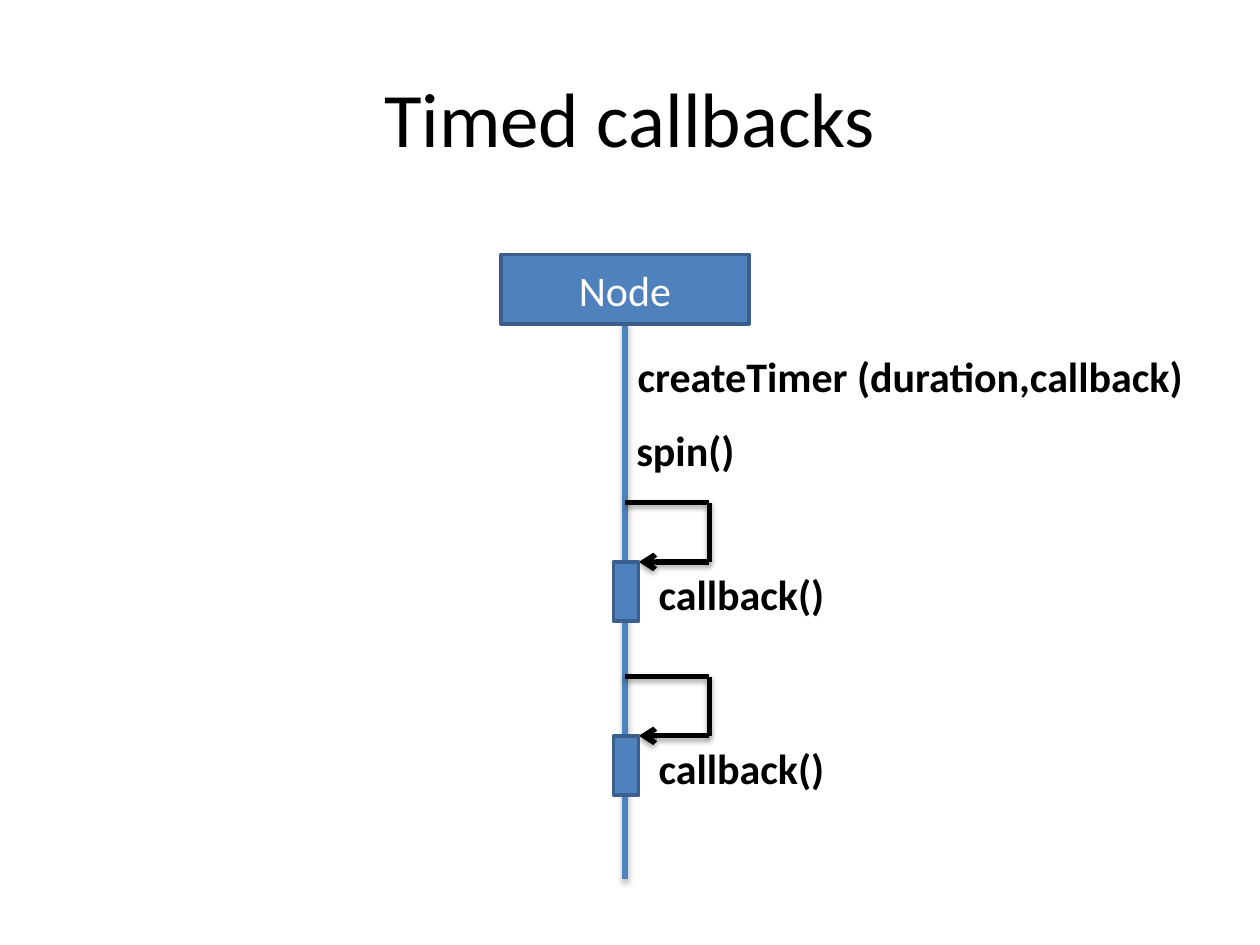
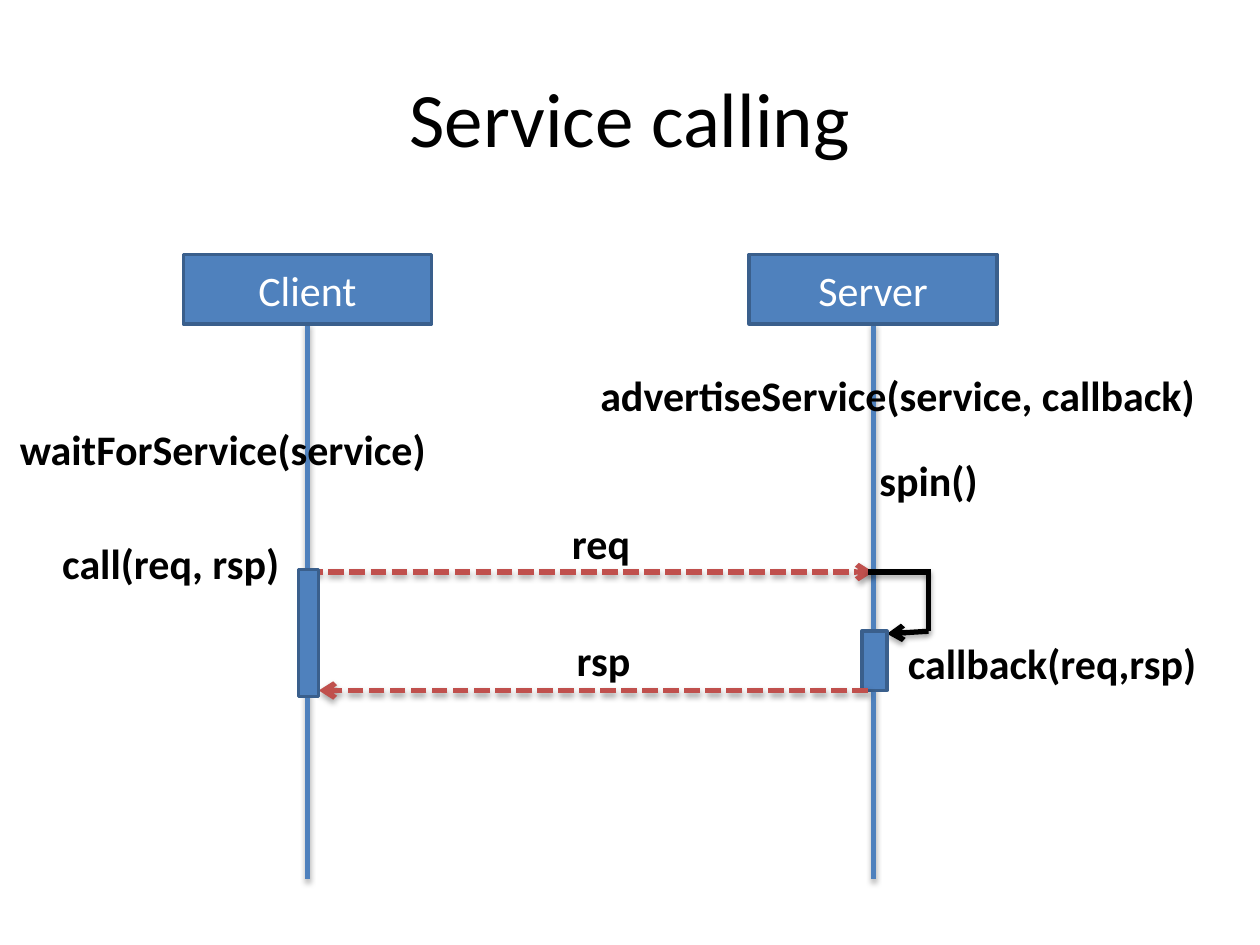
"""Build two sequence diagram slides: timed callbacks and service calling."""
from pptx import Presentation
from pptx.dml.color import RGBColor
from pptx.enum.dml import MSO_LINE
from pptx.enum.shapes import MSO_CONNECTOR, MSO_SHAPE
from pptx.enum.text import MSO_ANCHOR as ANCHOR, PP_ALIGN as ALIGN
from pptx.oxml import parse_xml
from pptx.oxml.ns import nsdecls
from pptx.util import Inches, Pt

BLACK = RGBColor(0x00, 0x00, 0x00)
WHITE = RGBColor(0xFF, 0xFF, 0xFF)
BLUE = RGBColor(0x4F, 0x81, 0xBD)
NAVY = RGBColor(0x3A, 0x5F, 0x8C)
RED = RGBColor(0xC0, 0x50, 0x4D)

TITLE = {"name": "Calibri", "size": Pt(44), "bold": False}
HEAD = {"name": "Calibri", "size": Pt(24), "bold": False}
LABEL = {"name": "Calibri", "size": Pt(24), "bold": True}

SHADOW = (
    f'<a:effectLst {nsdecls("a")}>'
    '<a:outerShdw blurRad="40000" dist="23000" dir="5400000" rotWithShape="0">'
    '<a:srgbClr val="000000"><a:alpha val="35000"/></a:srgbClr>'
    '</a:outerShdw></a:effectLst>'
)
ARROW = f'<a:tailEnd {nsdecls("a")} type="arrow"/>'

HEAD_TOP, HEAD_WIDE, HEAD_HIGH = 2.02, 1.97, 0.55
LIFE_END = 6.98
BAR_WIDE, BAR_HIGH = 0.2, 0.47
LABEL_HIGH = 0.5


def add_box(slide, place, text="", style=LABEL, color=BLACK, filled=False, anchor=ANCHOR.TOP):
    spot = [Inches(n) for n in place]
    if filled:
        box = slide.shapes.add_shape(MSO_SHAPE.RECTANGLE, *spot)
        box.shadow.inherit = False
        box.fill.solid()
        box.fill.fore_color.rgb = BLUE
        box.line.color.rgb = NAVY
        box.line.width = Pt(2)
    else:
        box = slide.shapes.add_textbox(*spot)
    if text:
        frame = box.text_frame
        frame.word_wrap = True
        frame.vertical_anchor = anchor
        par = frame.paragraphs[0]
        par.alignment = ALIGN.CENTER
        run = par.add_run()
        run.text = text
        run.font.color.rgb = color
        for key, value in style.items():
            setattr(run.font, key, value)


def add_line(slide, start, end, color=BLACK, arrow=False, dashed=False):
    ends = [Inches(n) for n in (*start, *end)]
    line = slide.shapes.add_connector(MSO_CONNECTOR.STRAIGHT, *ends)
    line.line.color.rgb = color
    line.line.width = Pt(3)
    if dashed:
        line.line.dash_style = MSO_LINE.SQUARE_DOT
    if arrow:
        line.line._get_or_add_ln().append(parse_xml(ARROW))
    line._element.spPr.append(parse_xml(SHADOW))


deck = Presentation()
deck.slide_width, deck.slide_height = Inches(10), Inches(7.5)

NODE, CLIENT, SERVER = 4.96, 2.44, 6.93
pages = []
for title, actors in [
    ("Timed callbacks", [("Node", NODE)]),
    ("Service calling", [("Client", CLIENT), ("Server", SERVER)]),
]:
    page = deck.slides.add_slide(deck.slide_layouts[6])
    add_box(page, (0.5, 0.3, 9, 1.25), title, TITLE, anchor=ANCHOR.MIDDLE)
    for name, x in actors:
        add_line(page, (x, HEAD_TOP + HEAD_HIGH), (x, LIFE_END), BLUE)
        place = (x - HEAD_WIDE / 2, HEAD_TOP, HEAD_WIDE, HEAD_HIGH)
        add_box(page, place, name, HEAD, WHITE, True, ANCHOR.MIDDLE)
    pages.append(page)
timed, service = pages

REQ, RSP = 4.54, 5.48
add_line(service, (CLIENT, REQ), (SERVER, REQ), RED, True, True)

for page, left, right, top, low, bar in [
    (timed, NODE, 5.63, 3.99, 4.46, 4.87),
    (timed, NODE, 5.63, 5.37, 5.84, 4.87),
    (service, 6.89, 7.37, REQ, 5.01, 6.84),
]:
    tip = low + 0.02 if page is service else low
    rise = top - 0.02 if page is service else top
    add_line(page, (left, top), (right, top))
    add_line(page, (right, rise), (right, low))
    add_line(page, (right, low), (bar + BAR_WIDE, tip), arrow=True)
    add_box(page, (bar, low, BAR_WIDE, BAR_HIGH), filled=True)

add_line(service, (6.89, RSP), (2.53, RSP), RED, True, True)
add_box(service, (2.37, 4.52, 0.16, 1.01), filled=True)

for page, text, x, y, wide in [
    (timed, "createTimer (duration,callback)", 4.81, 2.73, 4.83),
    (timed, "spin()", 4.92, 3.32, 1.04),
    (timed, "callback()", 5, 4.46, 1.77),
    (timed, "callback()", 5, 5.84, 1.77),
    (service, "advertiseService(service, callback)", 4.41, 2.88, 5.43),
    (service, "waitForService(service)", -0.04, 3.31, 3.62),
    (service, "spin()", 6.85, 3.56, 1.04),
    (service, "call(req, rsp)", 0.17, 4.22, 2.37),
    (service, "req", 4.06, 4.06, 1.42),
    (service, "rsp", 4.08, 4.99, 1.42),
    (service, "callback(req,rsp)", 6.97, 5.01, 2.76),
]:
    add_box(page, (x, y, wide, LABEL_HIGH), text)

deck.save("out.pptx")
